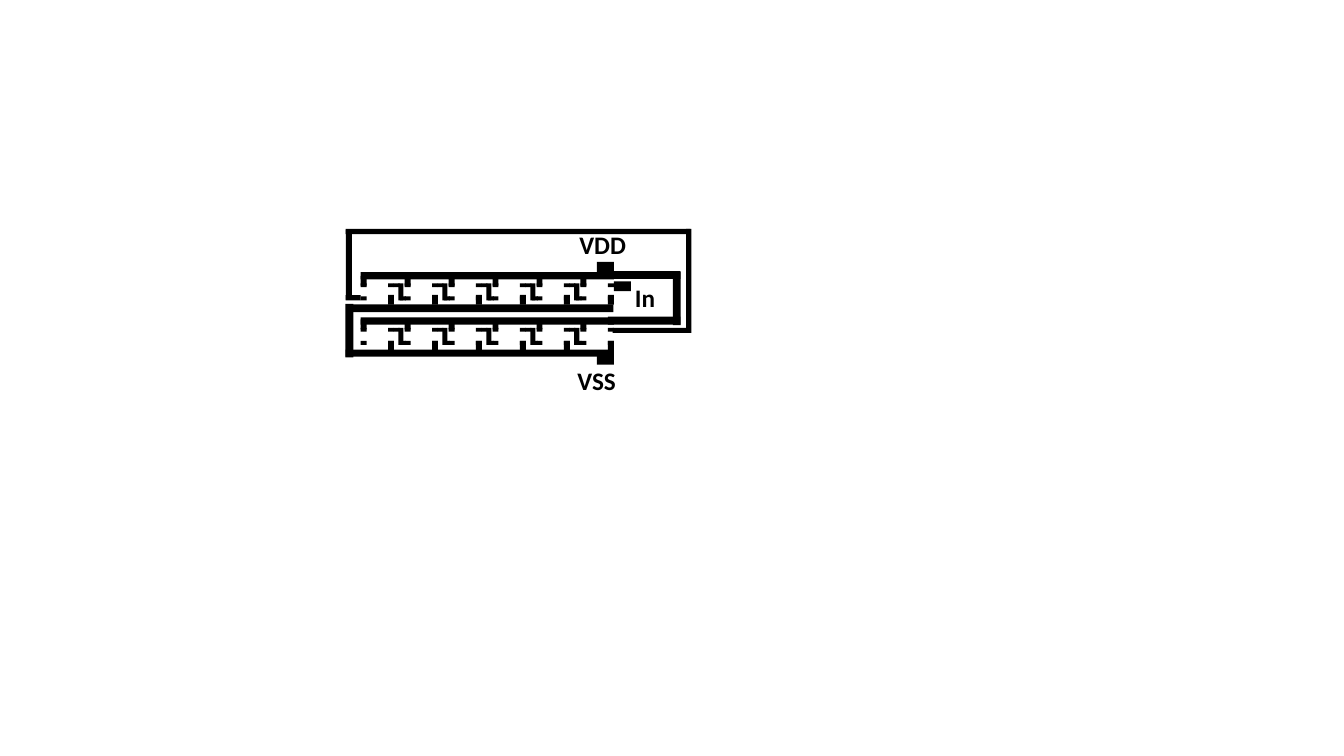
"""Draw a two-row inverter chain layout with supply rails, feedback wire and labelled pads."""
from pptx import Presentation
from pptx.dml.color import RGBColor
from pptx.enum.shapes import MSO_SHAPE
from pptx.enum.text import MSO_AUTO_SIZE
from pptx.util import Cm, Pt

COLORS = {"metal": "000000", "label": "000000"}

deck = Presentation()
deck.slide_width, deck.slide_height = Cm(33.87), Cm(19.05)
page = deck.slides.add_slide(deck.slide_layouts[6])


def add_bar(left, top, width, height, rotation=0):
    bar = page.shapes.add_shape(
        MSO_SHAPE.RECTANGLE, Cm(left), Cm(top), Cm(width), Cm(height))
    bar.rotation = rotation
    bar.shadow.inherit = False
    bar.fill.solid()
    bar.fill.fore_color.rgb = RGBColor.from_string(COLORS["metal"])
    bar.line.fill.background()


def add_label(text, left, top, width, height=1.02, size=18, bold=True,
              font="Calibri", color="label"):
    box = page.shapes.add_textbox(Cm(left), Cm(top), Cm(width), Cm(height))
    box.text_frame.word_wrap = True
    box.text_frame.auto_size = MSO_AUTO_SIZE.SHAPE_TO_FIT_TEXT
    para = box.text_frame.paragraphs[0]
    span = para.add_run()
    span.text = text
    span.font.name = font
    span.font.size = Pt(size)
    span.font.bold = bold
    span.font.color.rgb = RGBColor.from_string(COLORS[color])


STAGES = 6
FIRST_LEFT, LAST_LEFT = 9.09, 14.63
STAGE_PITCH = (LAST_LEFT - FIRST_LEFT) / (STAGES - 1)
DRAIN_SHIFT, LOWER_SHIFT = 0.69, 0.33
CONTACT_WIDTH, CONTACT_HEIGHT, STUB_HEIGHT = 0.15, 0.1, 0.25
CHAIN_ROWS = [
    {"contact": 7.14, "upper_stub": 6.95, "lower_stub": 7.43},
    {"contact": 8.26, "upper_stub": 8.05, "lower_stub": 8.59},
]

for row in CHAIN_ROWS:
    top = row["contact"]
    for stage in range(STAGES):
        left = FIRST_LEFT + stage * STAGE_PITCH
        for across in (0, DRAIN_SHIFT):
            for down in (0, LOWER_SHIFT):
                add_bar(left + across, top + down, CONTACT_WIDTH, CONTACT_HEIGHT)
        add_bar(left, row["upper_stub"], CONTACT_WIDTH, STUB_HEIGHT)
        add_bar(left + DRAIN_SHIFT, row["lower_stub"], CONTACT_WIDTH, STUB_HEIGHT)
        if stage < STAGES - 1:
            add_bar(left + 0.83, top, CONTACT_WIDTH, CONTACT_HEIGHT)
            add_bar(left + 0.99, top + LOWER_SHIFT, CONTACT_WIDTH, CONTACT_HEIGHT)
            add_bar(left + 0.8, top + 0.15, 0.43, 0.13, rotation=270)

supply_rails = [
    (9.09, 6.86, 6.38, 0.18),
    (9.09, 8, 6.38, 0.18),
    (8.86, 7.67, 6.6, 0.2),
    (8.71, 8.81, 6.76, 0.18),
    (15.32, 6.83, 1.83, 0.2),
    (15.32, 7.98, 1.83, 0.2),
    (16.38, 7.42, 1.35, 0.2, 270),
    (8.13, 8.23, 1.35, 0.2, 270),
]
feedback_wire = [
    (8.71, 7.44, 0.38, 0.13),
    (7.92, 6.6, 1.75, 0.15, 270),
    (8.71, 5.77, 8.69, 0.13),
    (16.05, 7.01, 2.62, 0.13, 270),
    (15.44, 8.26, 1.96, 0.13),
]
for segment in supply_rails + feedback_wire:
    add_bar(*segment)

for left, top in [(15.47, 7.09), (15.04, 6.6), (15.04, 8.94)]:
    add_bar(left, top, 0.43, 0.25)

add_label("In", 15.75, 6.99, width=1.47)
add_label("VDD", 14.35, 5.66, width=1.75)
add_label("VSS", 14.3, 9.07, width=1.75)

deck.save("out.pptx")
